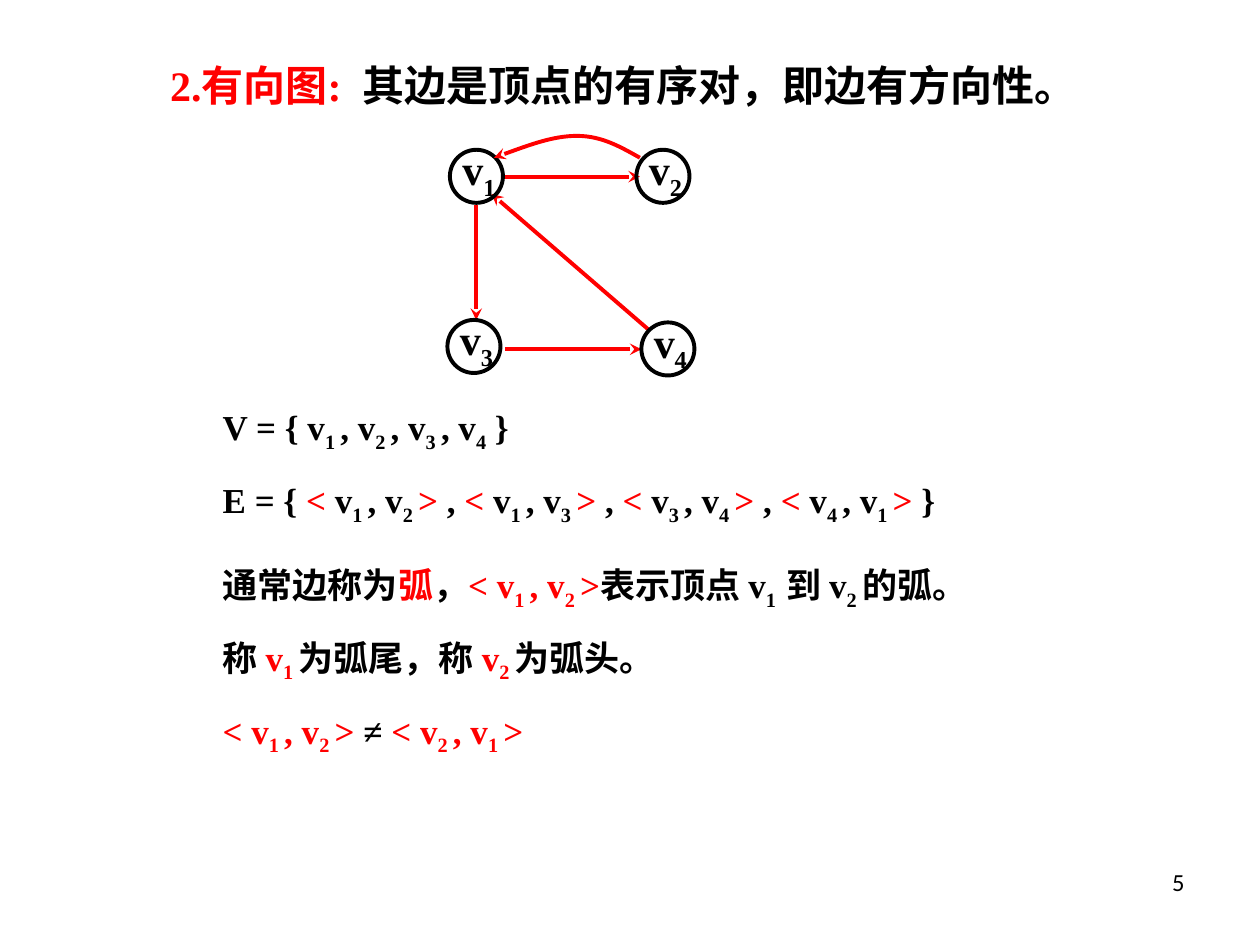
from lxml import etree
from pptx import Presentation
from pptx import util as u
from pptx.dml.color import RGBColor
from pptx.enum import shapes, text
from pptx.oxml.ns import qn

BLACK, RED = "000000", "FF0000"
SERIF = "Times New Roman"
LINE_WIDTH = 2.25
NODE_SIZE = 1.07
LABEL_RISE = 0.25

NODES = {"1": (9.07, 3.02), "2": (12.83, 3.02), "3": (9.02, 6.45), "4": (12.93, 6.5)}
ARCS = [
    ((10.16, 3.56), (12.9, 3.56)),
    ((9.6, 4.14), (9.6, 6.45)),
    ((10.19, 7.04), (12.93, 7.04)),
    ((13.08, 6.65), (9.91, 3.91)),
]
# Start point, then two control points and an end point for each Bezier piece
RETURN_ARC = [
    (12.9, 3.18),
    (12.52, 2.97), (12.14, 2.74), (11.63, 2.74),
    (11.15, 2.74), (10.54, 2.97), (9.96, 3.18),
]
# Top, width and wording; |...| is red and _..._ is subscript
STATEMENTS = [
    (8.05, 14.17, "V = { v_1 _, v_2 _, v_3 _, v_4_ }"),
    (9.53, 17.35, "E = { |< |v_1 _, v_2 _|> |, |< |v_1 _, v_3 _|> |, "
                  "|< |v_3 _, v_4 _|>| , |<| v_4 _, v_1 _|>| }"),
    (11.23, 19.48, "通常边称为|弧|，|< v_1 _, v_2 _>|表示顶点 v_1  _到 v_2 _的弧。"),
    (12.7, 18.62, "称 |v_1 _|为弧尾，称 |v_2 _|为弧头。"),
    (14.17, 14.4, "|< v_1 _, v_2 _> |≠| < v_2 _, v_1 _>|"),
]


def color(hex_code):
    return RGBColor.from_string(hex_code)


def add_text(slide, wording, left, top, width, height, size=20, font=SERIF,
             bold=True, align=text.PP_ALIGN.LEFT):
    """Add a text box, reading |...| as red and _..._ as subscript."""
    box = slide.shapes.add_textbox(u.Cm(left), u.Cm(top), u.Cm(width), u.Cm(height))
    frame = box.text_frame
    frame.word_wrap = True
    paragraph = frame.paragraphs[0]
    paragraph.alignment = align
    for i, phrase in enumerate(wording.split("|")):
        for j, piece in enumerate(phrase.split("_")):
            if not piece:
                continue
            run = paragraph.add_run()
            run.text = piece
            run.font.name = font
            run.font.size = u.Pt(size)
            run.font.bold = bold
            run.font.color.rgb = color(RED if i % 2 else BLACK)
            if j % 2:
                run.font._element.set("baseline", "-25000")


def style_arc(arc):
    arc.line.color.rgb = color(RED)
    arc.line.width = u.Pt(LINE_WIDTH)
    etree.SubElement(arc.line._get_or_add_ln(), qn("a:tailEnd"), type="stealth")


def add_arc(slide, start, end):
    arc = slide.shapes.add_connector(
        shapes.MSO_CONNECTOR.STRAIGHT, *(u.Cm(value) for value in start + end))
    style_arc(arc)
    etree.SubElement(arc._element.spPr, qn("a:effectLst"))


def add_curved_arc(slide, points):
    start, *others = [(u.Cm(x), u.Cm(y)) for x, y in points]
    builder = slide.shapes.build_freeform(*start)
    builder.add_line_segments(others, close=False)
    arc = builder.convert_to_shape()
    arc.fill.background()
    style_arc(arc)
    arc.shadow.inherit = False
    # Merge every three line segments into one cubic Bezier piece
    segments = list(arc._element.iter(qn("a:lnTo")))
    for first in range(0, len(segments), 3):
        curve, *rest = segments[first:first + 3]
        curve.tag = qn("a:cubicBezTo")
        for segment in rest:
            curve.append(segment[0])
            segment.getparent().remove(segment)


def add_node(slide, left, top):
    node = slide.shapes.add_shape(
        shapes.MSO_SHAPE.OVAL, u.Cm(left), u.Cm(top), u.Cm(NODE_SIZE), u.Cm(NODE_SIZE))
    node.shadow.inherit = False
    node.fill.background()
    node.line.color.rgb = color(BLACK)
    node.line.width = u.Pt(LINE_WIDTH)


def add_graph(slide):
    for start, end in ARCS:
        add_arc(slide, start, end)
    for number, (left, top) in NODES.items():
        add_node(slide, left, top)
        add_text(slide, f"v_{number}_", left, top - LABEL_RISE, 1.9, 1.42, size=24)
    add_curved_arc(slide, RETURN_ARC)


def main():
    deck = Presentation()
    deck.slide_width, deck.slide_height = u.Cm(25.4), u.Cm(19.05)
    slide = deck.slides.add_slide(deck.slide_layouts[6])
    add_text(slide, "|2.有向图:  |其边是顶点的有序对，即边有方向性。",
             3.18, 1.07, 20.32, 1.27, size=24)
    add_graph(slide)
    for top, width, wording in STATEMENTS:
        add_text(slide, wording, 4.24, top, width, 1.22)
    add_text(slide, "5", 18.21, 17.35, 5.92, 1.32, size=14, font="Calibri",
             bold=False, align=text.PP_ALIGN.RIGHT)
    deck.save("out.pptx")


if __name__ == "__main__":
    main()
